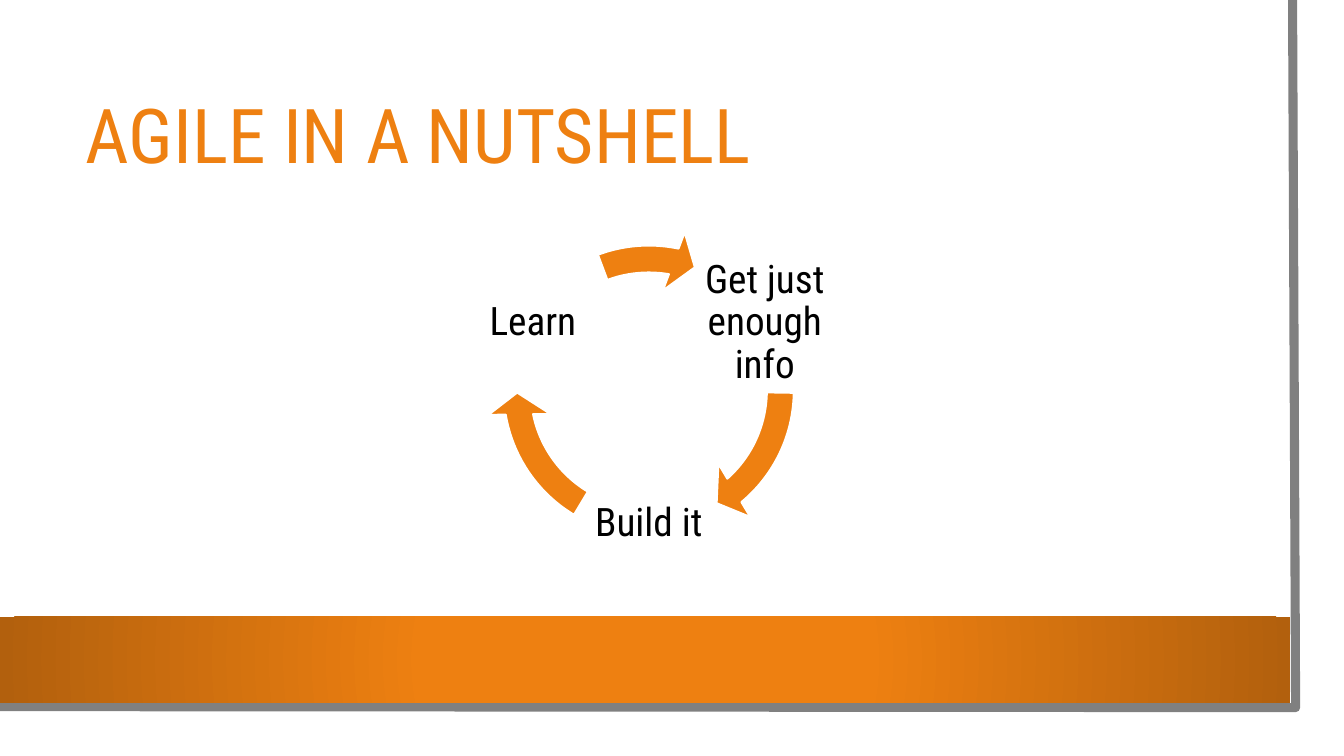
from lxml.etree import SubElement
from pptx import Presentation
from pptx.dml.color import RGBColor
from pptx.enum.shapes import MSO_SHAPE
from pptx.enum.text import MSO_ANCHOR, PP_ALIGN
from pptx.oxml.ns import qn
from pptx.util import Inches, Pt

FONT = "Roboto Condensed"
ORANGE, BROWN, GRAY, WHITE, BLACK = "EE8011", "B2600D", "808080", "FFFFFF", "000000"
TITLE = "AGILE IN A NUTSHELL"
EDGE = [(12.82, 0), (12.85, 7.02), (-0.03, 7.01)]
STEPS = [
    ("Get just enough info", 6.9, 2.52, 29.624, 0.527),
    ("Build it", 5.75, 4.51, 101.709, 72.611),
    ("Learn", 4.6, 2.52, 168.554, 149.682),
]
LABEL = 1.37
RING = (4.82, 2.26, 3.23, 3.23)


def color(code):
    return RGBColor.from_string(code)


def add_form(slide, kind, box, fill):
    form = slide.shapes.add_shape(kind, *map(Inches, box))
    form.shadow.inherit = False
    form.fill.solid()
    form.fill.fore_color.rgb = color(fill)
    form.line.fill.background()
    return form


def add_text(slide, words, box, size, shade, align, inset):
    frame = slide.shapes.add_textbox(*map(Inches, box)).text_frame
    frame.word_wrap = True
    frame.vertical_anchor = MSO_ANCHOR.MIDDLE
    frame.margin_left = frame.margin_right = Inches(inset[0])
    frame.margin_top = frame.margin_bottom = Inches(inset[1])
    para = frame.paragraphs[0]
    para.alignment = align
    para.line_spacing = 0.9
    run = para.add_run()
    run.text = words
    run.font.name = FONT
    run.font.size = Pt(size)
    run.font.color.rgb = color(shade)


def add_edge(slide):
    spots = [(Inches(x), Inches(y)) for x, y in EDGE]
    pen = slide.shapes.build_freeform(*spots[0])
    pen.add_line_segments(spots[1:], close=False)
    edge = pen.convert_to_shape()
    edge.shadow.inherit = False
    edge.fill.background()
    edge.line.color.rgb = color(GRAY)
    edge.line.width = Pt(6.5)


def add_band(slide):
    band = add_form(slide, MSO_SHAPE.RECTANGLE, (0, 6.12, 12.8, 0.85), ORANGE)
    band.fill.gradient()
    for stop, place, shade in zip(band.fill.gradient_stops, (0.34, 1), (ORANGE, BROWN)):
        stop.position = place
        stop.color.rgb = color(shade)
    grad = band._element.spPr.find(qn("a:gradFill"))
    grad.remove(grad.find(qn("a:lin")))
    round_path = SubElement(grad, qn("a:path"), {"path": "circle"})
    SubElement(round_path, qn("a:fillToRect"), dict.fromkeys("ltrb", "50000"))


def add_step(slide, words, left, top, end, start):
    add_text(slide, words, (left, top, LABEL, LABEL), 28, BLACK,
             PP_ALIGN.CENTER, (0.04, 0.04))
    arrow = add_form(slide, MSO_SHAPE.CIRCULAR_ARROW, RING, ORANGE)
    for i, value in enumerate((0.083, 5.764, end, start, 0.096)):
        arrow.adjustments[i] = value
    arrow.line.color.rgb = color(WHITE)
    arrow.line.width = Pt(1.5)


def main():
    deck = Presentation()
    deck.slide_width, deck.slide_height = Inches(13.33), Inches(7.5)
    slide = deck.slides.add_slide(deck.slide_layouts[6])
    add_form(slide, MSO_SHAPE.RECTANGLE, (0, 0, 13.1, 7.27), WHITE)
    add_edge(slide)
    add_band(slide)
    add_text(slide, TITLE, (0.75, 0.75, 11.37, 1.26), 54, ORANGE,
             PP_ALIGN.LEFT, (0.1, 0.05))
    for step in STEPS:
        add_step(slide, *step)
    deck.save("out.pptx")


if __name__ == "__main__":
    main()
